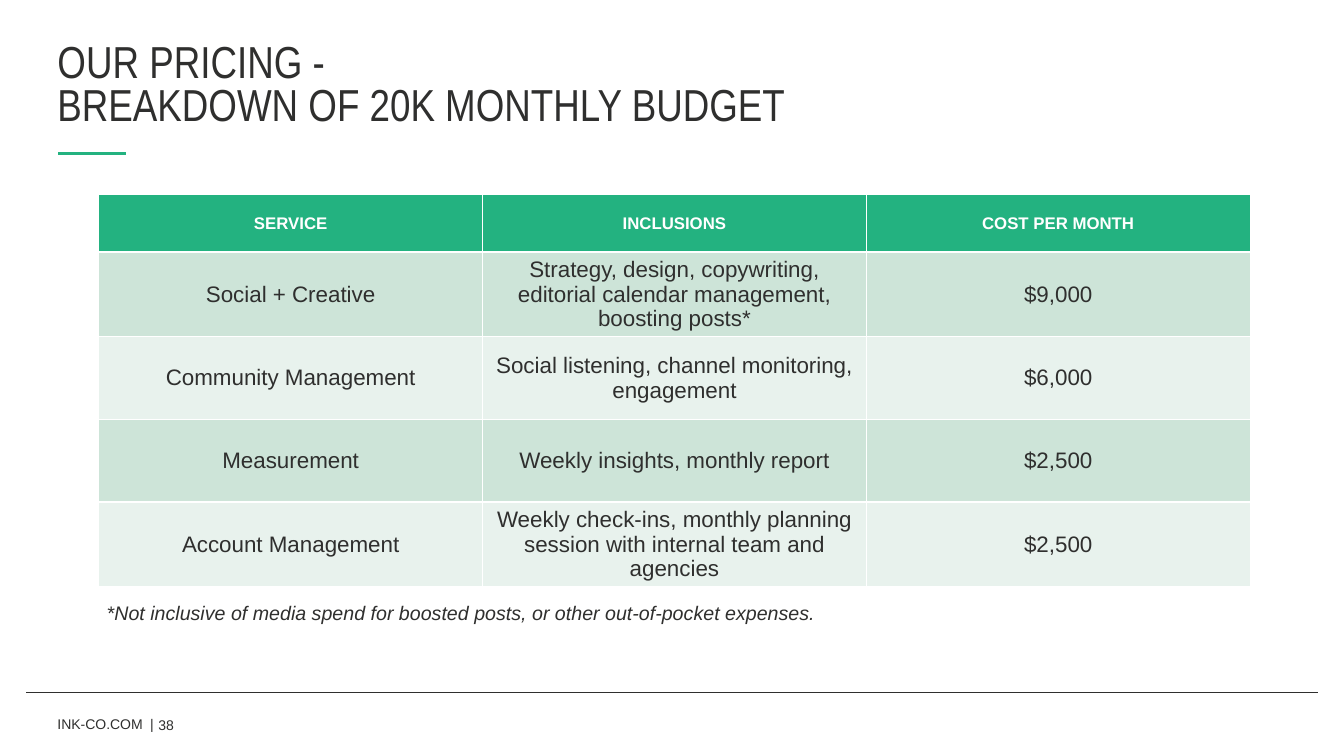
from lxml import etree
from pptx import Presentation
from pptx.dml.color import RGBColor
from pptx.enum.shapes import MSO_CONNECTOR
from pptx.enum.text import MSO_ANCHOR, MSO_AUTO_SIZE, PP_ALIGN
from pptx.oxml import parse_xml
from pptx.oxml.ns import nsdecls, qn
from pptx.util import Inches, Pt

TITLE = "OUR PRICING -\vBREAKDOWN OF 20K MONTHLY BUDGET"
PRICING = [
    ("SERVICE", "INCLUSIONS", "COST PER MONTH"),
    ("Social + Creative",
     "Strategy, design, copywriting, editorial calendar management, boosting posts*",
     "$9,000"),
    ("Community Management", "Social listening, channel monitoring, engagement", "$6,000"),
    ("Measurement", "Weekly insights, monthly report", "$2,500"),
    ("Account Management",
     "Weekly check-ins, monthly planning session with internal team and agencies",
     "$2,500"),
]
FOOTNOTE = "*Not inclusive of media spend for boosted posts, or other out-of-pocket expenses."
SITE = "INK-CO.COM\t|"
PAGE = "38"

INK = RGBColor(0x2F, 0x2F, 0x2E)
GREEN = RGBColor(0x23, 0xB2, 0x80)
MINT = RGBColor(0xCD, 0xE4, 0xD8)
PALE_MINT = RGBColor(0xE8, 0xF2, 0xED)
WHITE = RGBColor(0xFF, 0xFF, 0xFF)

TABLE_LEFT, TABLE_TOP, TABLE_WIDTH = 0.98, 1.93, 11.42
HEADER_HEIGHT, ROW_HEIGHT = 0.57, 0.82


def style(paragraph, size, color=INK, name="Arial", bold=False, italic=False):
    font = paragraph.font
    font.name, font.size, font.bold, font.italic = name, Pt(size), bold, italic
    font.color.rgb = color


def add_rule(slide, left, right, y, color, weight):
    rule = slide.shapes.add_connector(
        MSO_CONNECTOR.STRAIGHT, Inches(left), Inches(y), Inches(right), Inches(y))
    rule.line.color.rgb = color
    rule.line.width = Pt(weight)
    etree.SubElement(rule._element.spPr, qn("a:effectLst"))


def clear_insets(frame):
    frame.margin_left = frame.margin_top = frame.margin_right = frame.margin_bottom = 0
    frame.vertical_anchor = MSO_ANCHOR.MIDDLE


def add_text(slide, text, left, top, width, height):
    frame = slide.shapes.add_textbox(
        Inches(left), Inches(top), Inches(width), Inches(height)).text_frame
    frame.word_wrap = True
    frame.text = text
    return frame


def add_borders(cell):
    properties = cell._tc.get_or_add_tcPr()
    for side in ("lnL", "lnR", "lnT", "lnB"):
        properties.append(parse_xml(
            f'<a:{side} {nsdecls("a")} w="{Pt(1)}"><a:solidFill>'
            f'<a:srgbClr val="{WHITE}"/></a:solidFill></a:{side}>'))


def add_pricing(slide):
    body_rows = len(PRICING) - 1
    table = slide.shapes.add_table(
        len(PRICING), len(PRICING[0]), Inches(TABLE_LEFT), Inches(TABLE_TOP),
        Inches(TABLE_WIDTH), Inches(HEADER_HEIGHT + body_rows * ROW_HEIGHT)).table
    for r, values in enumerate(PRICING):
        header = r == 0
        table.rows[r].height = Inches(HEADER_HEIGHT if header else ROW_HEIGHT)
        fill = GREEN if header else MINT if r % 2 else PALE_MINT
        for c, value in enumerate(values):
            cell = table.cell(r, c)
            cell.text = value
            cell.vertical_anchor = MSO_ANCHOR.MIDDLE
            add_borders(cell)
            cell.fill.solid()
            cell.fill.fore_color.rgb = fill
            paragraph = cell.text_frame.paragraphs[0]
            paragraph.alignment = PP_ALIGN.CENTER
            style(paragraph, 12 if header else 16, WHITE if header else INK, bold=header)


def add_footer(slide):
    add_rule(slide, 0.26, 13.07, 6.87, INK, 1)
    site = add_text(slide, SITE, 0.57, 6.98, 1.04, 0.4)
    clear_insets(site)
    tabs = etree.SubElement(site.paragraphs[0]._p.get_or_add_pPr(), qn("a:tabLst"))
    etree.SubElement(tabs, qn("a:tab"), pos=str(Inches(0.92)), algn="l")
    style(site.paragraphs[0], 10)
    page = add_text(slide, PAGE, 1.57, 7.04, 1.18, 0.3)
    clear_insets(page)
    style(page.paragraphs[0], 10)


def add_title(slide):
    title = slide.shapes.title
    title.left, title.top = Inches(0.57), Inches(0.4)
    title.width, title.height = Inches(12.24), Inches(0.93)
    frame = title.text_frame
    frame.text = TITLE
    frame.auto_size = MSO_AUTO_SIZE.NONE
    clear_insets(frame)
    heading = frame.paragraphs[0]
    heading.alignment = PP_ALIGN.LEFT
    heading.line_spacing = 0.8
    style(heading, 32, name="Arial Narrow")
    add_rule(slide, 0.58, 1.25, 1.52, GREEN, 2)


def main():
    deck = Presentation()
    deck.slide_width, deck.slide_height = Inches(13.33), Inches(7.5)
    slide = deck.slides.add_slide(deck.slide_layouts[5])
    add_title(slide)
    add_pricing(slide)
    footnote = add_text(slide, FOOTNOTE, 0.96, 5.91, 11.42, 0.34)
    style(footnote.paragraphs[0], 14, italic=True)
    add_footer(slide)
    deck.save("out.pptx")


if __name__ == "__main__":
    main()
